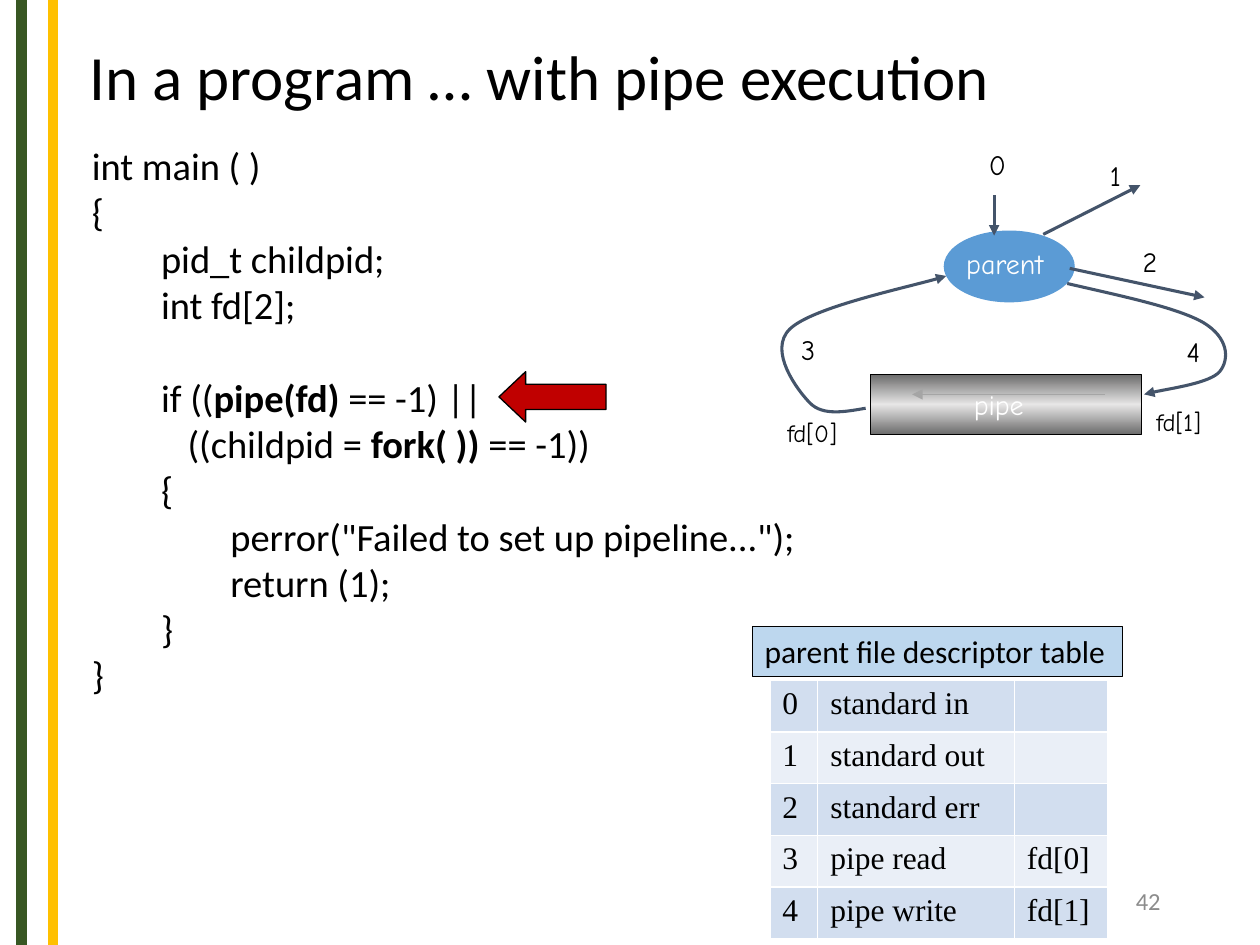
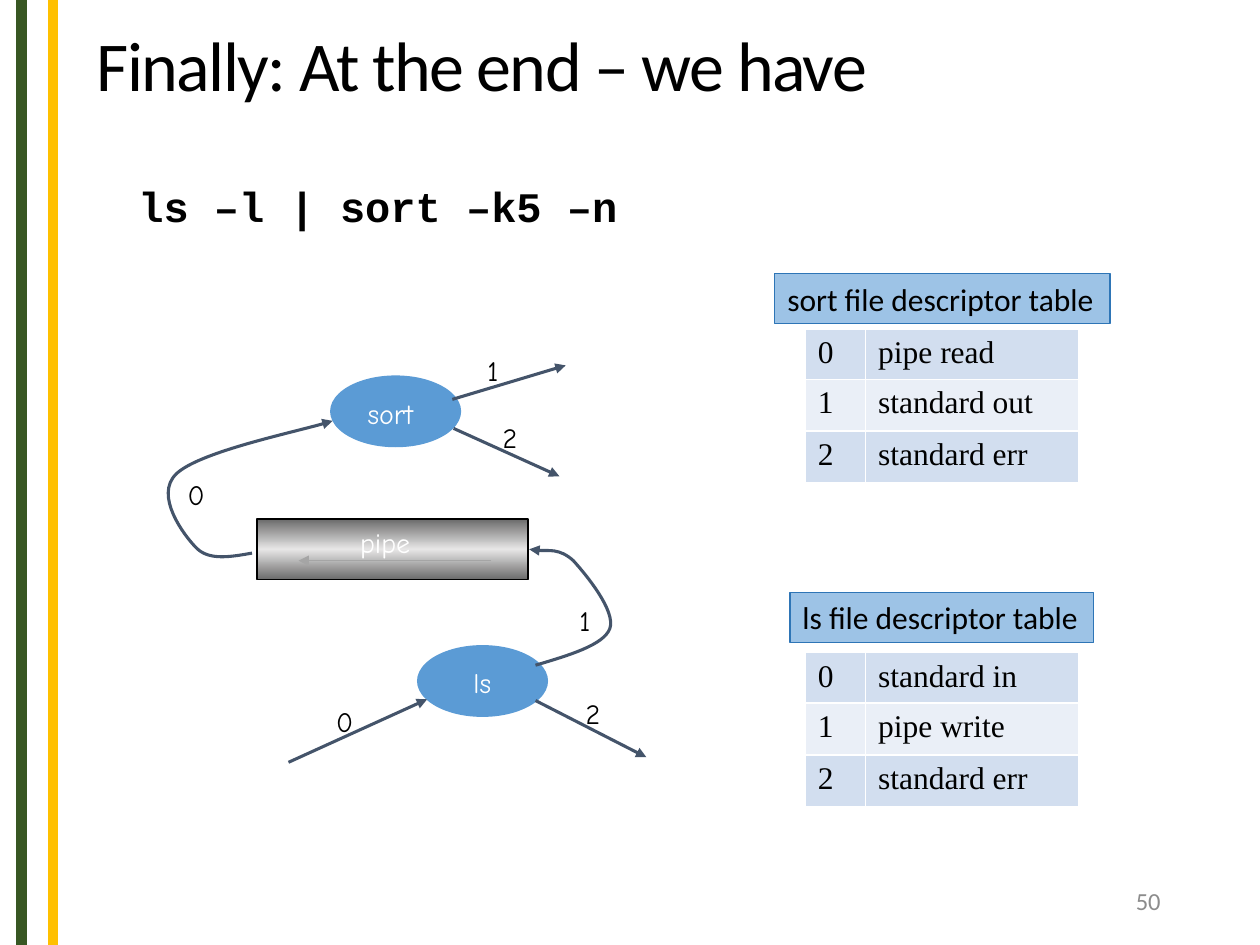
from copy import deepcopy

from lxml.etree import SubElement
from pptx import Presentation
from pptx.dml.color import RGBColor
from pptx.enum.shapes import MSO_CONNECTOR, MSO_SHAPE
from pptx.enum.text import MSO_ANCHOR, MSO_AUTO_SIZE, PP_ALIGN
from pptx.oxml.ns import qn
from pptx.util import Inches, Pt

BODY, HAND, MONO, SERIF = "Calibri", "Comic Neue", "Courier New", "Times New Roman"
BLACK, WHITE, GREY, NUMBER_GREY = "000000", "FFFFFF", "A5A5A5", "8C8C8C"
GREEN, GOLD, SLATE, BLUE, RED = "385723", "FFC000", "44546A", "5B9BD5", "C00000"
ROW_FILLS = ["D2DEEF", "EAEFF7"]
PIPE_FILLS = ["6B6B6B", "E7E6E6", "6B6B6B"]

READ_CURVE = [(-0.17, 0.03), (-0.34, 0.06), (-0.44, -0.04),
              (-0.54, -0.14), (-0.78, -0.46), (-0.6, -0.63),
              (-0.42, -0.8), (0.43, -0.98), (0.64, -1.05)]
PARENT_WRITE_CURVE = [(0.43, 0.1), (0.87, 0.19), (1.08, 0.31),
                      (1.28, 0.43), (1.29, 0.6), (1.21, 0.7),
                      (1.13, 0.79), (0.71, 0.85), (0.61, 0.88)]
LS_WRITE_CURVE = [(0.27, -0.08), (0.54, -0.16), (0.59, -0.29),
                  (0.64, -0.43), (0.4, -0.72), (0.3, -0.83),
                  (0.19, -0.93), (0.01, -0.9), (-0.05, -0.92)]

CODE_LINES = [
    (0, "int main ( )"),
    (0, "{"),
    (0.55, "pid_t childpid;"),
    (0.55, "int fd[2];"),
    (0.55, "if ((*pipe(fd) *== -1) ||"),
    (0.76, "((childpid = *fork( )) *== -1))"),
    (0.55, "{"),
    (1.1, 'perror("Failed to set up pipeline...");'),
    (1.1, "return (1);"),
    (0.55, "}"),
    (0, "}"),
]
LINE_AFTER_GAP = 4


def color(value):
    """Turn a hex string into a colour."""
    return RGBColor.from_string(value)


def inches(values):
    """Turn numbers into lengths."""
    return [Inches(value) for value in values]


class Sketch:
    """Holds the deck, its style and the current slide."""

    def __init__(self):
        """Start a 4:3 deck."""
        self.deck = Presentation()
        self.deck.slide_width, self.deck.slide_height = inches((10, 7.5))
        self.page = None

    def new_page(self, number):
        """Add a slide with its side bands and number."""
        self.page = self.deck.slides.add_slide(self.deck.slide_layouts[6])
        for x, band in ((0.17, GREEN), (0.42, GOLD)):
            self.line((x, 0), (x, 7.5), band, 6, arrow=False)
        box = self.text(number, (7.06, 6.95, 2.25, 0.4), 14, BODY, NUMBER_GREY, wrap=True)
        box.text_frame.vertical_anchor = MSO_ANCHOR.MIDDLE
        box.text_frame.paragraphs[0].alignment = PP_ALIGN.RIGHT

    def font(self, paragraph, size, name, ink):
        """Style one paragraph."""
        paragraph.font.size = Pt(size)
        paragraph.font.name = name
        paragraph.font.color.rgb = color(ink)

    def text(self, words, place, size, name, ink=BLACK, wrap=False):
        """Add a one-paragraph text box."""
        box = self.page.shapes.add_textbox(*inches(place))
        self.fill_frame(box.text_frame, words, size, name, ink, wrap)
        return box

    def fill_frame(self, frame, words, size, name, ink, wrap=False):
        """Write one styled paragraph into a frame."""
        frame.word_wrap = wrap
        if not wrap:
            frame.auto_size = MSO_AUTO_SIZE.SHAPE_TO_FIT_TEXT
        paragraph = frame.paragraphs[0]
        paragraph.text = words
        self.font(paragraph, size, name, ink)

    def title(self, words, place, size, line_spacing, tracking=0):
        """Add the slide title."""
        box = self.text(words, place, size, BODY, wrap=True)
        box.text_frame.vertical_anchor = MSO_ANCHOR.MIDDLE
        paragraph = box.text_frame.paragraphs[0]
        paragraph.line_spacing = line_spacing
        if tracking:
            paragraph.runs[0].font._element.set("spc", str(tracking))

    def label(self, words, left, top, width=0.34, size=16, ink=BLACK):
        """Add a handwritten label."""
        height = 0.37 if size == 16 else 0.33
        self.text(words, (left, top, width, height), size, HAND, ink)

    def shape(self, kind, place, fill=None, outline=None):
        """Add a flat preset shape."""
        shape = self.page.shapes.add_shape(kind, *inches(place))
        shape.shadow.inherit = False
        if fill:
            shape.fill.solid()
            shape.fill.fore_color.rgb = color(fill)
        if outline:
            shape.line.color.rgb = color(outline)
            shape.line.width = Pt(0.75)
        else:
            shape.line.fill.background()
        return shape

    def stroke(self, line, ink, width, arrow=True):
        """Style a line, with an arrowhead at its end."""
        line.color.rgb = color(ink)
        line.width = Pt(width)
        if arrow:
            SubElement(line._get_or_add_ln(), qn("a:tailEnd"), type="triangle")

    def line(self, start, end, ink=SLATE, width=1.75, arrow=True):
        """Add a straight line or arrow."""
        connector = self.page.shapes.add_connector(
            MSO_CONNECTOR.STRAIGHT, *inches(start + end))
        self.stroke(connector.line, ink, width, arrow)
        SubElement(connector._element.spPr, qn("a:effectLst"))

    def curve(self, start, offsets):
        """Add a curved arrow from Bezier points relative to its start."""
        x, y = start
        builder = self.page.shapes.build_freeform(*inches(start))
        builder.add_line_segments(
            [inches((x + dx, y + dy)) for dx, dy in offsets], close=False)
        shape = builder.convert_to_shape()
        shape.shadow.inherit = False
        shape.fill.background()
        self.stroke(shape.line, SLATE, 1.75)
        outline = next(shape._element.iter(qn("a:path")))
        segments = outline.findall(qn("a:lnTo"))
        for first in range(0, len(segments), 3):
            bezier = SubElement(outline, qn("a:cubicBezTo"))
            for segment in segments[first:first + 3]:
                bezier.append(segment[0])
                outline.remove(segment)

    def process(self, name, left, top, label_place):
        """Add a process ellipse and its name."""
        self.shape(MSO_SHAPE.OVAL, (left, top, 1.04, 0.57), BLUE)
        self.label(name, *label_place, ink=WHITE)

    def pipe(self, left, top, label_drop, flow_drop):
        """Add the shaded pipe with its name and flow arrow."""
        shape = self.shape(MSO_SHAPE.RECTANGLE, (left, top, 2.15, 0.48), outline=BLACK)
        shape.fill.gradient()
        shape.fill.gradient_angle = 90
        stops = next(shape._element.iter(qn("a:gsLst")))
        stops.append(deepcopy(stops[0]))
        for index, stop in enumerate(shape.fill.gradient_stops):
            stop.position = index / 2
            stop.color.rgb = color(PIPE_FILLS[index])
        self.label("pipe", left + 0.72, top + label_drop, 0.62, ink=WHITE)
        flow = top + flow_drop
        self.line((left + 1.86, flow), (left + 0.33, flow), GREY, 0.75)

    def caption(self, words, place, fill, outline):
        """Add the boxed heading of a table."""
        shape = self.shape(MSO_SHAPE.RECTANGLE, place, fill, outline)
        self.fill_frame(shape.text_frame, words, 18, BODY, BLACK)
        shape.text_frame.paragraphs[0].alignment = PP_ALIGN.LEFT

    def table(self, left, top, widths, heights, rows):
        """Add a banded file descriptor table, numbered from zero."""
        place = inches((left, top, sum(widths), sum(heights)))
        table = self.page.shapes.add_table(len(rows), len(widths), *place).table
        table.first_row = table.horz_banding = False
        for column, width in zip(table.columns, widths):
            column.width = Inches(width)
        for number, (row, height) in enumerate(zip(rows, heights)):
            table.rows[number].height = Inches(height)
            for index, words in enumerate((str(number), *row)):
                self.cell(table.cell(number, index), words, ROW_FILLS[number % 2])

    def cell(self, cell, words, fill):
        """Fill one table cell and give it white borders."""
        properties = cell._tc.get_or_add_tcPr()
        for side in ("lnL", "lnR", "lnT", "lnB"):
            border = SubElement(properties, qn(f"a:{side}"), w=str(Pt(1)))
            SubElement(SubElement(border, qn("a:solidFill")), qn("a:srgbClr"), val=WHITE)
        cell.fill.solid()
        cell.fill.fore_color.rgb = color(fill)
        paragraph = cell.text_frame.paragraphs[0]
        if words:
            paragraph.text = words
        self.font(paragraph, 18, SERIF, BLACK)

    def code(self, place, lines):
        """Add indented code; text between asterisks is bold."""
        frame = self.page.shapes.add_textbox(*inches(place)).text_frame
        frame.word_wrap = True
        for index, (indent, words) in enumerate(lines):
            paragraph = frame.add_paragraph() if index else frame.paragraphs[0]
            self.font(paragraph, 22, BODY, BLACK)
            paragraph._p.get_or_add_pPr().set("marL", str(Inches(indent)))
            if index == LINE_AFTER_GAP:
                paragraph.space_before = Pt(26.9)
            for part, piece in enumerate(words.split("*")):
                span = paragraph.add_run()
                span.text = piece
                if part % 2:
                    span.font.bold = True


def build_parent_page(sketch):
    """Show the parent process after the pipe call."""
    sketch.new_page("42")
    sketch.title("In a program … with pipe execution", (0.61, 0.01, 9.02, 1.25), 36, 0.9)
    sketch.pipe(6.91, 2.97, 0.06, 0.16)
    sketch.process("parent", 7.49, 1.83, (7.57, 1.91, 0.88))
    sketch.curve((6.87, 3.24), READ_CURVE)
    sketch.curve((8.47, 2.25), PARENT_WRITE_CURVE)
    for start, end in [((7.89, 1.55), (7.89, 1.87)),
                       ((8.28, 1.86), (9.05, 1.47)),
                       ((8.49, 2.13), (9.56, 2.36))]:
        sketch.line(start, end)
    for words, left, top in [("0", 7.75, 1.12), ("2", 8.97, 1.89),
                             ("3", 6.26, 2.59), ("4", 9.32, 2.61)]:
        sketch.label(words, left, top)
    sketch.label("1", 8.71, 1.21, 0.3)
    sketch.label("fd[1]", 9.08, 3.18, 0.65, 14)
    sketch.label("fd[0]", 6.15, 3.27, 0.68, 14)
    sketch.code((0.63, 1.08, 5.85, 4.54), CODE_LINES)
    arrow = sketch.shape(MSO_SHAPE.LEFT_ARROW, (3.96, 2.95, 0.85, 0.4), RED, BLACK)
    arrow.adjustments[1] = 0.53
    sketch.caption("parent file descriptor table", (5.97, 4.97, 2.94, 0.4), "BDD7EE", BLACK)
    sketch.table(6.11, 5.4, (0.38, 1.56, 0.74), [0.41] * 5, [
        ("standard in", ""), ("standard out", ""), ("standard err", ""),
        ("pipe read", "fd[0]"), ("pipe write", "fd[1]")])


def build_final_page(sketch):
    """Show the two processes joined by the pipe."""
    sketch.new_page("50")
    sketch.title("Finally: At the end – we have", (0.67, -0.07, 8.37, 1.25), 40, 0.85, -90)
    command = sketch.text("ls –l | sort –k5 –n", (1, 1.38, 4.03, 0.51), 24, MONO)
    command.text_frame.paragraphs[0].font.bold = True
    sketch.pipe(2.04, 4.12, 0, 0.33)
    sketch.process("ls", 3.31, 5.12, (3.66, 5.23, 0.37))
    sketch.process("sort", 2.62, 2.98, (2.82, 3.1, 0.64))
    sketch.curve((4.25, 5.28), LS_WRITE_CURVE)
    sketch.curve((2, 4.39), READ_CURVE)
    for start, end in [((2.29, 6.05), (3.39, 5.55)), ((4.25, 5.56), (5.13, 6.01)),
                       ((3.59, 3.17), (4.49, 2.9)), ((3.6, 3.4), (4.44, 3.78))]:
        sketch.line(start, end)
    for words, left, top, width in [
            ("0", 2.57, 5.54, 0.34), ("2", 4.55, 5.48, 0.34), ("1", 4.5, 4.74, 0.3),
            ("0", 1.39, 3.74, 0.34), ("1", 3.77, 2.76, 0.3), ("2", 3.89, 3.29, 0.34)]:
        sketch.label(words, left, top, width)
    for name, left, top, width, table_top, rows in [
            ("sort", 6.15, 2.17, 2.66, 2.61, ["pipe read", "standard out", "standard err"]),
            ("ls", 6.27, 4.7, 2.41, 5.18, ["standard in", "pipe write", "standard err"])]:
        sketch.caption(f"{name} file descriptor table", (left, top, width, 0.4),
                       "9DC3E6", "2E75B6")
        sketch.table(6.39, table_top, (0.48, 1.69), (0.39, 0.41, 0.41),
                     [(row,) for row in rows])


def main():
    """Build and save the deck."""
    sketch = Sketch()
    build_parent_page(sketch)
    build_final_page(sketch)
    sketch.deck.save("out.pptx")


if __name__ == "__main__":
    main()
